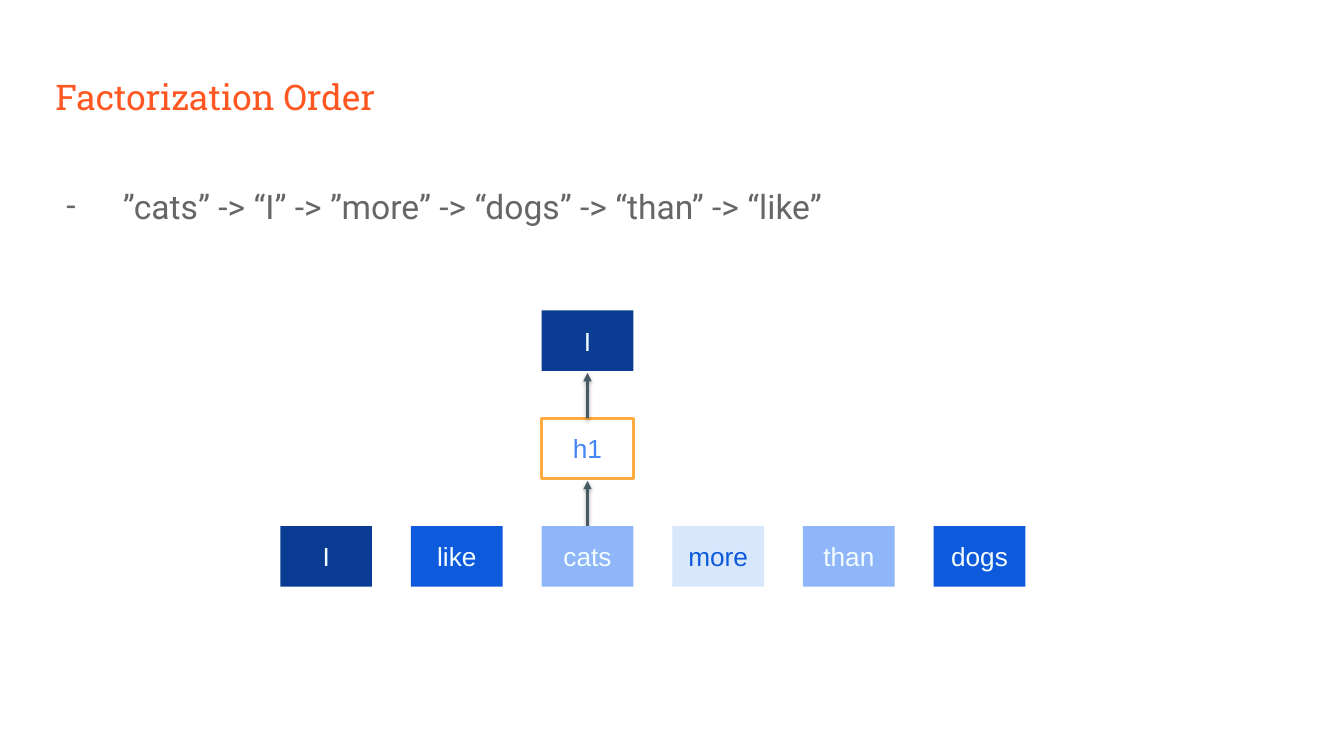
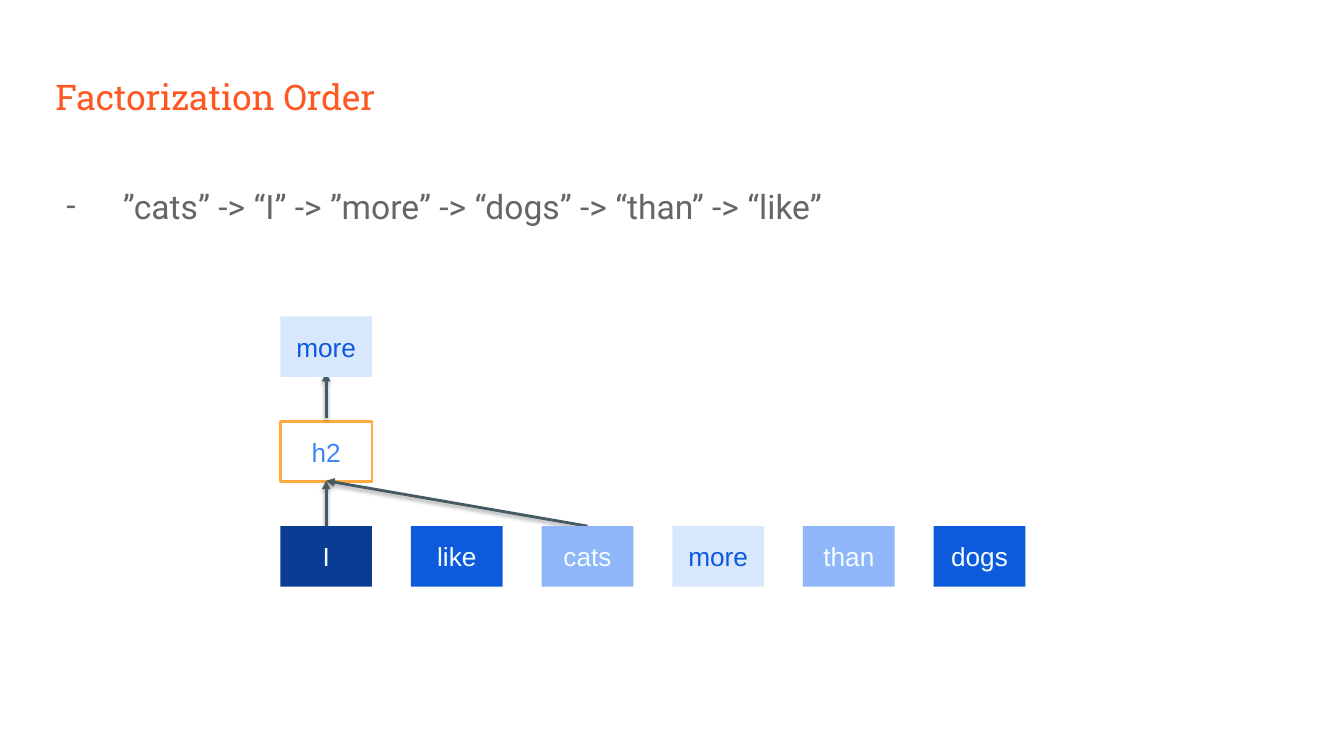
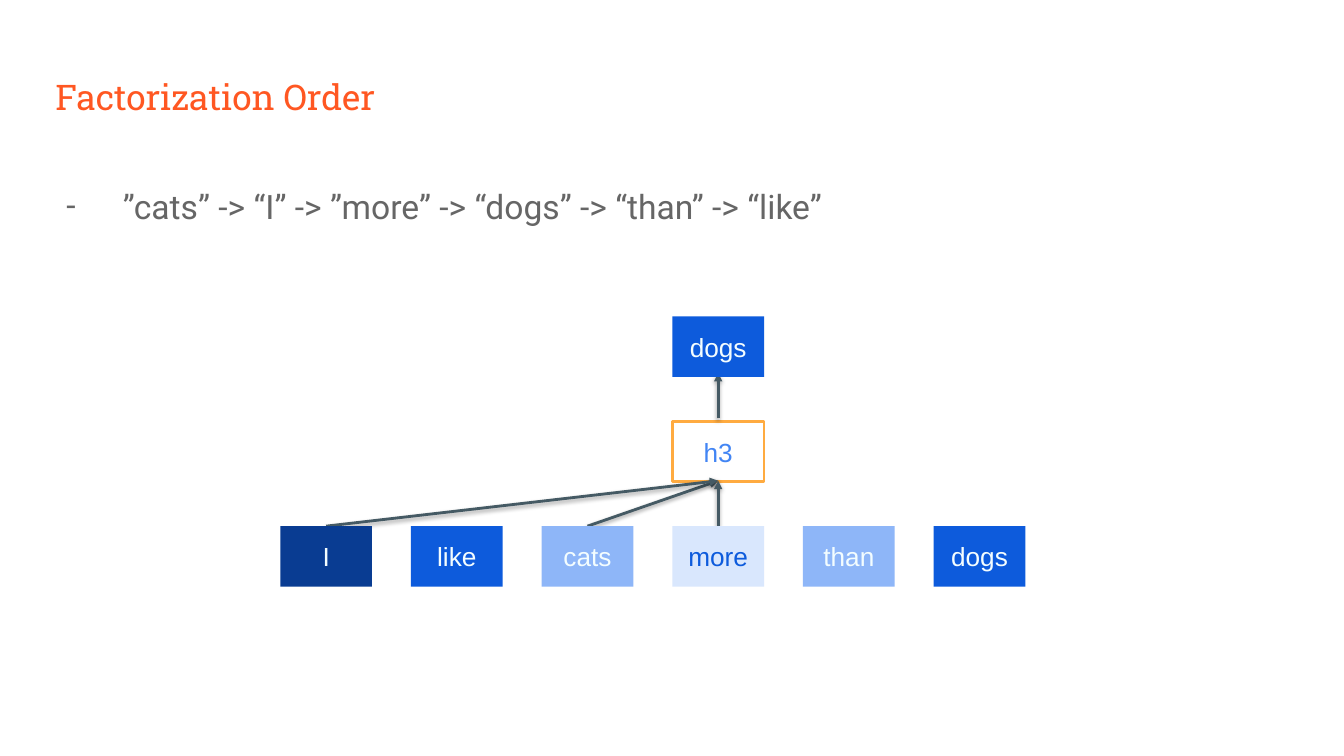
from lxml.etree import SubElement
from pptx import Presentation
from pptx.dml.color import RGBColor
from pptx.enum.shapes import MSO_CONNECTOR, MSO_SHAPE
from pptx.enum.text import MSO_ANCHOR, PP_ALIGN
from pptx.oxml.ns import qn
from pptx.util import Inches, Pt

# Shared style
ORANGE, AMBER, GREY, SLATE = "FF5722", "FFAB40", "666666", "455A64"
NAVY, BLUE, SKY, PALE = "093C92", "0D5BDC", "8EB6F8", "D9E7FD"
ICE, WHITE, HIDDEN_TEXT = "F3FDFF", "FFFFFF", "4285F4"

# Token grid: six equal columns, with the token row at the bottom
MARGIN, TEXT_WIDTH = 0.45, 12.42
BOX_WIDTH, BOX_HEIGHT = 0.91, 0.6
FIRST_LEFT, LAST_LEFT = 2.78, 9.26
TOKEN_TOP, ARROW_RISE, ARROW_STEP = 5.22, 0.45, 1.07
TOKENS = {  # word: (fill, text colour)
    "I": (NAVY, ICE),
    "like": (BLUE, ICE),
    "cats": (SKY, ICE),
    "more": (PALE, BLUE),
    "than": (SKY, ICE),
    "dogs": (BLUE, ICE),
}
WORDS = list(TOKENS)
COLUMN_STEP = (LAST_LEFT - FIRST_LEFT) / (len(WORDS) - 1)

TITLE = "Factorization Order"
ORDER = "”cats” -> “I” -> ”more” -> “dogs” -> “than” -> “like”"
# Hidden state, its column word, context words, predicted word, row step
STEPS = [
    ("h1", "cats", ["cats"], "I", 1.07),
    ("h2", "I", ["cats", "I"], "more", 1.04),
    ("h3", "more", ["cats", "I", "more"], "dogs", 1.04),
]


def rgb(value):
    return RGBColor.from_string(value)


def column_left(word):
    return FIRST_LEFT + WORDS.index(word) * COLUMN_STEP


def column_center(word):
    return column_left(word) + BOX_WIDTH / 2


def write(box, text, *, size, font, color, align=PP_ALIGN.LEFT,
          anchor=MSO_ANCHOR.TOP, inset=0.1, spacing=None, bullet=None):
    frame = box.text_frame
    frame.word_wrap = True
    frame.vertical_anchor = anchor
    frame.margin_left = frame.margin_right = Inches(inset)
    frame.margin_top = frame.margin_bottom = Inches(inset)
    para = frame.paragraphs[0]
    para.alignment = align
    if spacing:
        para.line_spacing = spacing
    if bullet:
        properties = para._p.get_or_add_pPr()
        properties.set("marL", str(Inches(0.67)))
        properties.set("indent", str(Inches(-0.56)))
        tint = SubElement(properties, qn("a:buClr"))
        SubElement(tint, qn("a:srgbClr"), val=color)
        SubElement(properties, qn("a:buFont"), typeface=font)
        SubElement(properties, qn("a:buChar"), char=bullet)
    span = para.add_run()
    span.text = text
    span.font.size = Pt(size)
    span.font.name = font
    span.font.color.rgb = rgb(color)


def add_text(page, text, top, height, **style):
    box = page.shapes.add_textbox(
        Inches(MARGIN), Inches(top), Inches(TEXT_WIDTH), Inches(height))
    write(box, text, **style)


def add_box(page, text, column, top, fill, color, outline=None):
    box = page.shapes.add_shape(
        MSO_SHAPE.RECTANGLE, Inches(column_left(column)), Inches(top),
        Inches(BOX_WIDTH), Inches(BOX_HEIGHT))
    box.shadow.inherit = False
    box.fill.solid()
    box.fill.fore_color.rgb = rgb(fill)
    if outline:
        box.line.color.rgb = rgb(outline)
        box.line.width = Pt(2)
    else:
        box.line.fill.background()
    write(box, text, size=18.7, font="Arial", color=color, inset=0,
          align=PP_ALIGN.CENTER, anchor=MSO_ANCHOR.MIDDLE)


def add_arrow(page, source, target, bottom):
    arrow = page.shapes.add_connector(
        MSO_CONNECTOR.STRAIGHT,
        Inches(column_center(source)), Inches(bottom),
        Inches(column_center(target)), Inches(bottom - ARROW_RISE))
    arrow.line.color.rgb = rgb(SLATE)
    arrow.line.width = Pt(2)
    SubElement(arrow.line._get_or_add_ln(), qn("a:tailEnd"), type="triangle")
    # Soft shadow straight below the line
    effects = SubElement(arrow._element.spPr, qn("a:effectLst"))
    shadow = SubElement(effects, qn("a:outerShdw"), blurRad=str(Pt(3)),
                        dist=str(Pt(1.6)), dir="5400000", rotWithShape="0")
    tint = SubElement(shadow, qn("a:srgbClr"), val="000000")
    SubElement(tint, qn("a:alpha"), val="38000")


def add_step(deck, hidden, column, context, predicted, row_step):
    page = deck.slides.add_slide(deck.slide_layouts[6])
    add_text(page, TITLE, 0.65, 0.84,
             size=25.2, font="Roboto Slab", color=ORANGE)
    add_text(page, ORDER, 1.68, 4.98, size=24, font="Roboto", color=GREY,
             spacing=1.15, bullet="-")
    # Hidden state and arrows
    add_box(page, hidden, column, TOKEN_TOP - row_step,
            WHITE, HIDDEN_TEXT, AMBER)
    for word in context:
        add_arrow(page, word, column, TOKEN_TOP)
    add_arrow(page, column, column, TOKEN_TOP - ARROW_STEP)
    # Token row and predicted token
    for word, colors in TOKENS.items():
        add_box(page, word, word, TOKEN_TOP, *colors)
    add_box(page, predicted, column, TOKEN_TOP - 2 * row_step,
            *TOKENS[predicted])


def main():
    deck = Presentation()
    deck.slide_width, deck.slide_height = Inches(13.33), Inches(7.5)
    for step in STEPS:
        add_step(deck, *step)
    deck.save("out.pptx")


if __name__ == "__main__":
    main()
